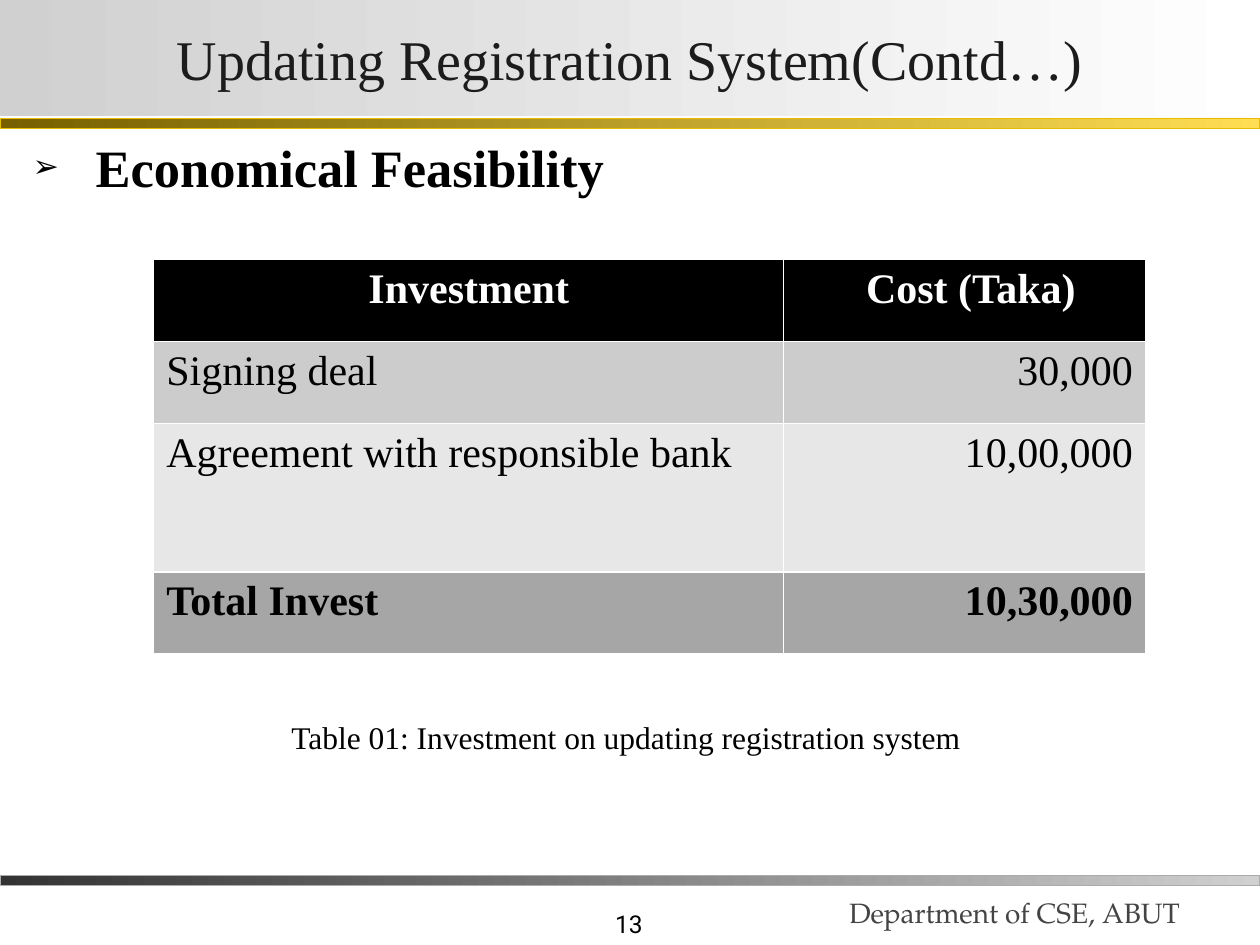
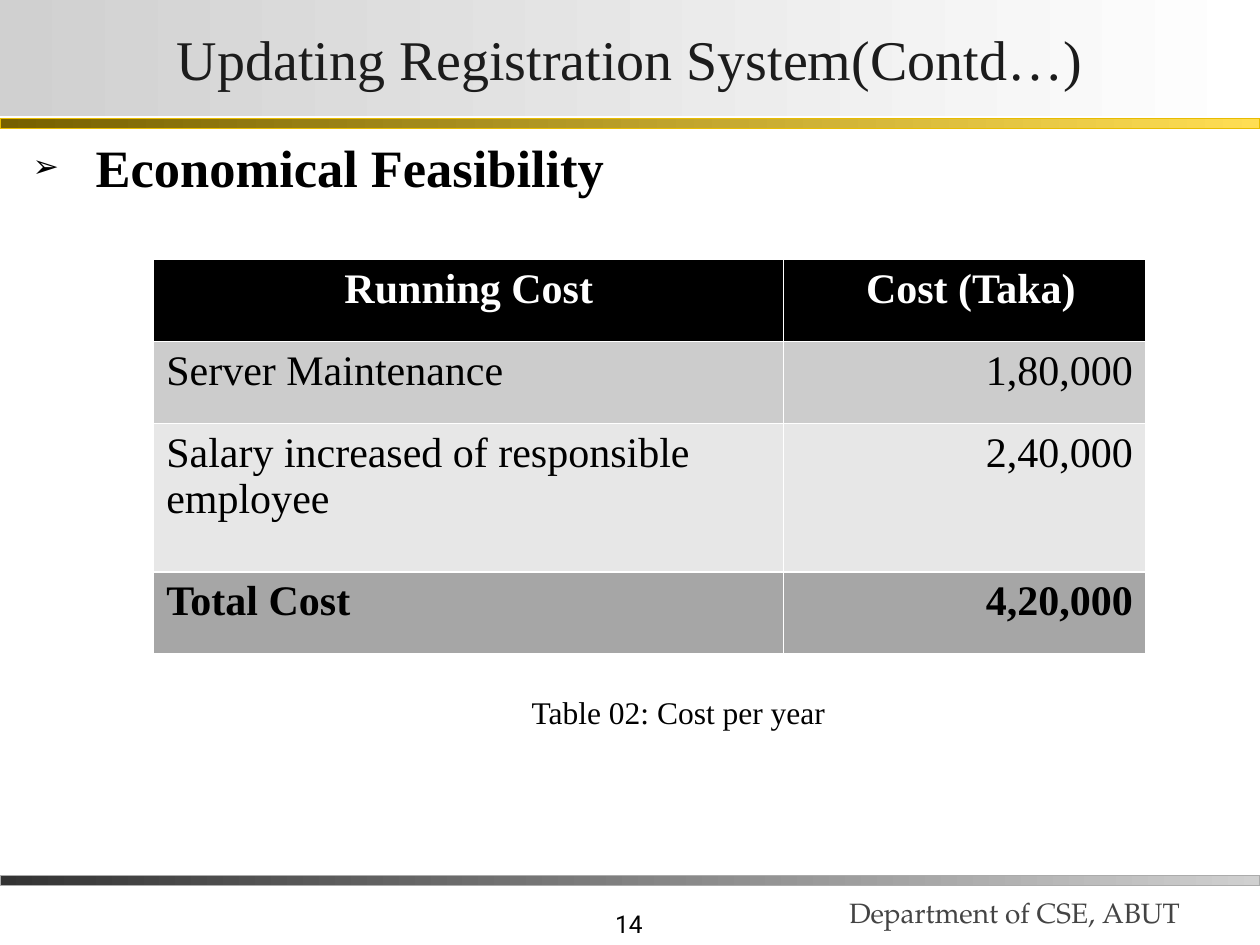
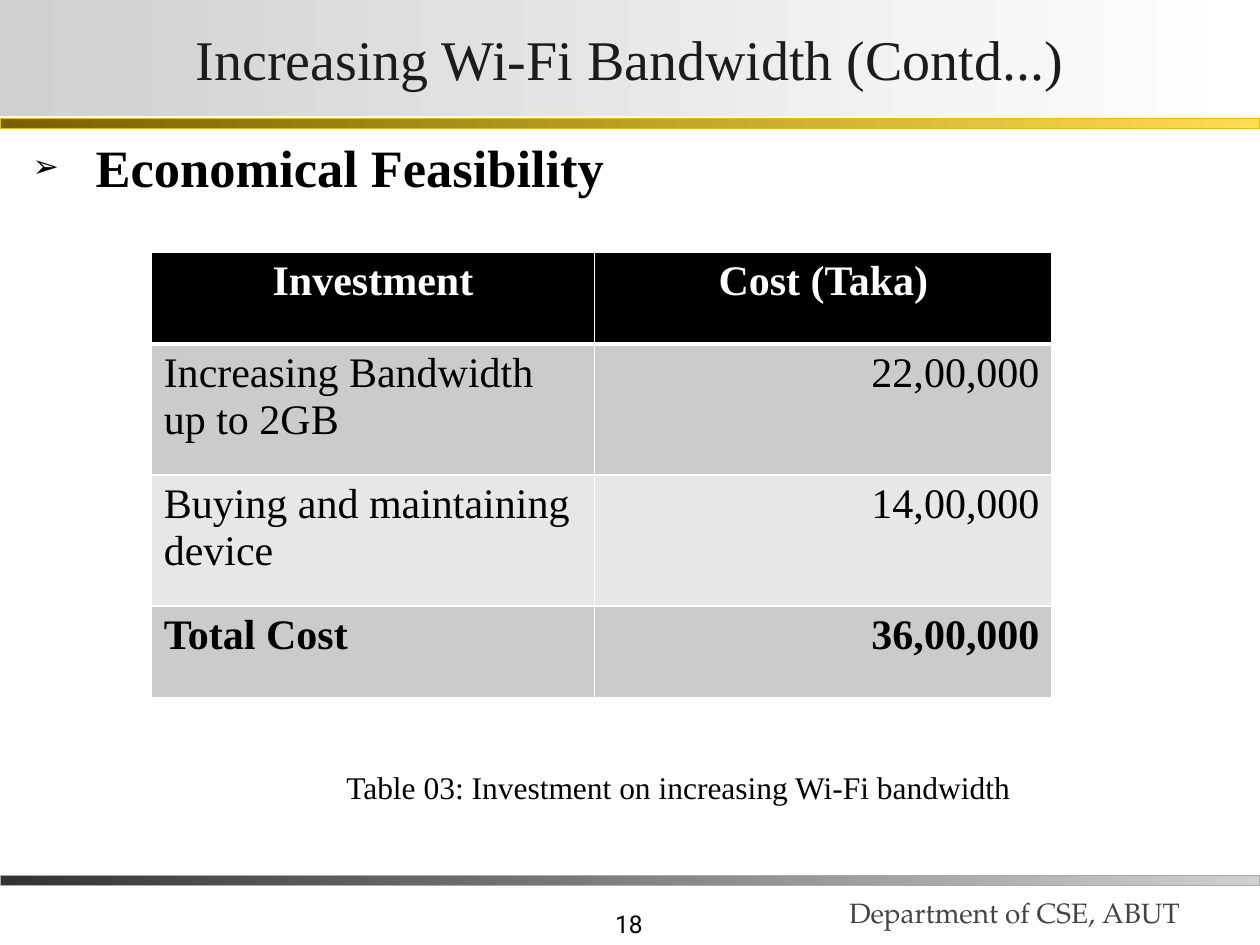
from lxml import etree
from pptx import Presentation
from pptx import util as u
from pptx.dml.color import RGBColor
from pptx.enum import shapes, text
from pptx.oxml.ns import qn

SERIF = "Times New Roman"
BLACK, WHITE, INK, GREY = "000000", "FFFFFF", "1C1C1C", "444444"
LEFT, CENTER, RIGHT = text.PP_ALIGN.LEFT, text.PP_ALIGN.CENTER, text.PP_ALIGN.RIGHT
TOTAL_GREY = "A6A6A6"


def rgb(value):
    return RGBColor.from_string(value)


def place(sp, left, top, width, height):
    sp.left, sp.top = u.Inches(left), u.Inches(top)
    sp.width, sp.height = u.Inches(width), u.Inches(height)


def style(p, size, color=BLACK, bold=False, font=SERIF, align=LEFT):
    p.alignment = align
    for r in p.runs:
        f = r.font
        f.name, f.size, f.bold = font, u.Pt(size), bold
        f.color.rgb = rgb(color)


def gradient(sp, start, end):
    sp.fill.gradient()
    sp.fill.gradient_angle = 0
    for stop, color in zip(sp.fill.gradient_stops, (start, end)):
        stop.color.rgb = rgb(color)


def add_band(s, top, start, end, outline):
    sp = s.shapes.add_shape(shapes.MSO_SHAPE.RECTANGLE, 0, u.Inches(top),
                            u.Inches(10), u.Inches(0.08))
    sp.shadow.inherit = False
    gradient(sp, start, end)
    sp.line.color.rgb = rgb(outline)
    sp.line.width = u.Pt(0.75)
    return sp


def add_label(s, box, words, size, color, font, align=LEFT):
    sp = s.shapes.add_textbox(*map(u.Inches, box))
    tf = sp.text_frame
    tf.word_wrap = True
    tf.vertical_anchor = text.MSO_ANCHOR.BOTTOM
    tf.text = words
    style(tf.paragraphs[0], size, color, font=font, align=align)
    return sp


def dress_layout(s):
    """Put the bands and the department footer on the shared layout."""
    parts = [
        add_label(s, (6.64, 6.8, 3.44, 0.62), "Department of CSE, ABUT",
                  16, GREY, "TeX Gyre Pagella"),
        add_band(s, 6.95, "333333", "D0D0D0", "ABABAB"),
        add_band(s, 0.94, "766000", "FFDE53", "E8BC00"),
    ]
    for sp in parts:
        s.slide_layout.shapes.element.append(sp.element)


def set_title(s, words):
    sp = s.shapes.title
    place(sp, 0, 0, 10, 0.92)
    gradient(sp, "D0D0D0", WHITE)
    tf = sp.text_frame
    tf.text = words
    tf.auto_size = text.MSO_AUTO_SIZE.NONE
    tf.vertical_anchor = text.MSO_ANCHOR.MIDDLE
    tf.margin_left = tf.margin_right = u.Inches(0.02)
    tf.margin_top = tf.margin_bottom = u.Inches(0.01)
    style(tf.paragraphs[0], 32, INK, align=CENTER)


def indent(p, margin, first, bullet=None):
    pPr = p._p.get_or_add_pPr()
    pPr.set("marL", str(u.Inches(margin)))
    pPr.set("indent", str(u.Inches(first)))
    if bullet:
        etree.SubElement(pPr, qn("a:buSzPct"), val="60000")
        etree.SubElement(pPr, qn("a:buChar"), char=bullet)
    else:
        etree.SubElement(pPr, qn("a:buNone"))


def set_body(s, heading, caption, gap, margin):
    """Heading, then the caption placed below the table by its spacing."""
    sp = s.placeholders[1]
    place(sp, 0.16, 1.02, 9.45, 5.98)
    tf = sp.text_frame
    tf.auto_size = text.MSO_AUTO_SIZE.NONE
    p = tf.paragraphs[0]
    p.text = heading
    style(p, 30, bold=True)
    p.space_before = u.Pt(3.6)
    indent(p, 0.5, -0.5, "➢")
    p = tf.add_paragraph()
    p.text = caption
    style(p, 18, align=CENTER)
    p.space_before = u.Pt(gap)
    indent(p, margin, 0)


def set_borders(cell, **widths):
    tcPr = cell._tc.get_or_add_tcPr()
    for i, side in enumerate("LRTB"):
        ln = etree.Element(qn("a:ln" + side), w=str(u.Pt(widths.get(side, 1))))
        fill = etree.SubElement(ln, qn("a:solidFill"))
        etree.SubElement(fill, qn("a:srgbClr"), val=WHITE)
        tcPr.insert(i, ln)


def add_cost_table(s, at, cols, heights, rows, fills, rule, nudge):
    frame = s.shapes.add_table(len(rows), len(cols), *map(u.Inches, at),
                               u.Inches(sum(cols)), u.Inches(sum(heights)))
    table = frame.table
    for col, width in zip(table.columns, cols):
        col.width = u.Inches(width)
    last = len(rows) - 1
    for i, row in enumerate(rows):
        table.rows[i].height = u.Inches(heights[i])
        for j, words in enumerate(row):
            cell = table.cell(i, j)
            cell.text = words
            cell.fill.solid()
            cell.fill.fore_color.rgb = rgb(fills[i])
            set_borders(cell, B=rule if i == 0 else 1, T=rule if i == 1 else 1)
            align = CENTER if i == 0 else (LEFT, RIGHT)[j]
            style(cell.text_frame.paragraphs[0], 24, BLACK if i else WHITE,
                  bold=i in (0, last), align=align)
    table.cell(0, 1).margin_left = u.Inches(0.1 + nudge)


def main():
    prs = Presentation()
    prs.slide_width, prs.slide_height = u.Inches(10), u.Inches(7.5)

    # Table geometry and colours
    wide = dict(at=(1.22, 2.06), cols=(5, 2.87), heights=(0.65, 0.65, 1.18, 0.65),
                fills=(BLACK, "CCCCCC", "E7E7E7", TOTAL_GREY), rule=1, nudge=0.1)
    even = dict(at=(1.2, 2), cols=(3.52, 3.63), heights=(0.73, 1.04, 1.04, 0.73),
                fills=(BLACK, "CBCBCB", "E7E7E7", "CBCBCB"), rule=3, nudge=0)

    # Page, title, caption with its gap and margin, table look, rows
    registration = "Updating Registration System(Contd…)"
    pages = [
        (13, registration, "Table 01: Investment on updating registration system",
         297, 0.17, wide,
         [("Investment", "Cost (Taka)"), ("Signing deal", "30,000"),
          ("Agreement with responsible bank", "10,00,000"),
          ("Total Invest", "10,30,000")]),
        (14, registration, "Table 02: Cost per year", 283, 1, wide,
         [("Running Cost", "Cost (Taka)"), ("Server Maintenance", "1,80,000"),
          ("Salary increased of responsible employee", "2,40,000"),
          ("Total Cost", "4,20,000")]),
        (18, "Increasing Wi-Fi Bandwidth (Contd...)",
         "Table 03: Investment on increasing Wi-Fi bandwidth", 326, 1, even,
         [("Investment", "Cost (Taka)"),
          ("Increasing Bandwidth up to 2GB", "22,00,000"),
          ("Buying and maintaining device", "14,00,000"),
          ("Total Cost", "36,00,000")]),
    ]
    for i, (number, title, caption, gap, margin, look, rows) in enumerate(pages):
        s = prs.slides.add_slide(prs.slide_layouts[1])
        if i == 0:
            dress_layout(s)
        set_title(s, title)
        set_body(s, "Economical Feasibility", caption, gap, margin)
        add_cost_table(s, rows=rows, **look)
        add_label(s, (3.12, 7, 2.08, 0.5), str(number), 14, BLACK, "Roboto", RIGHT)
    prs.save("out.pptx")


if __name__ == "__main__":
    main()
